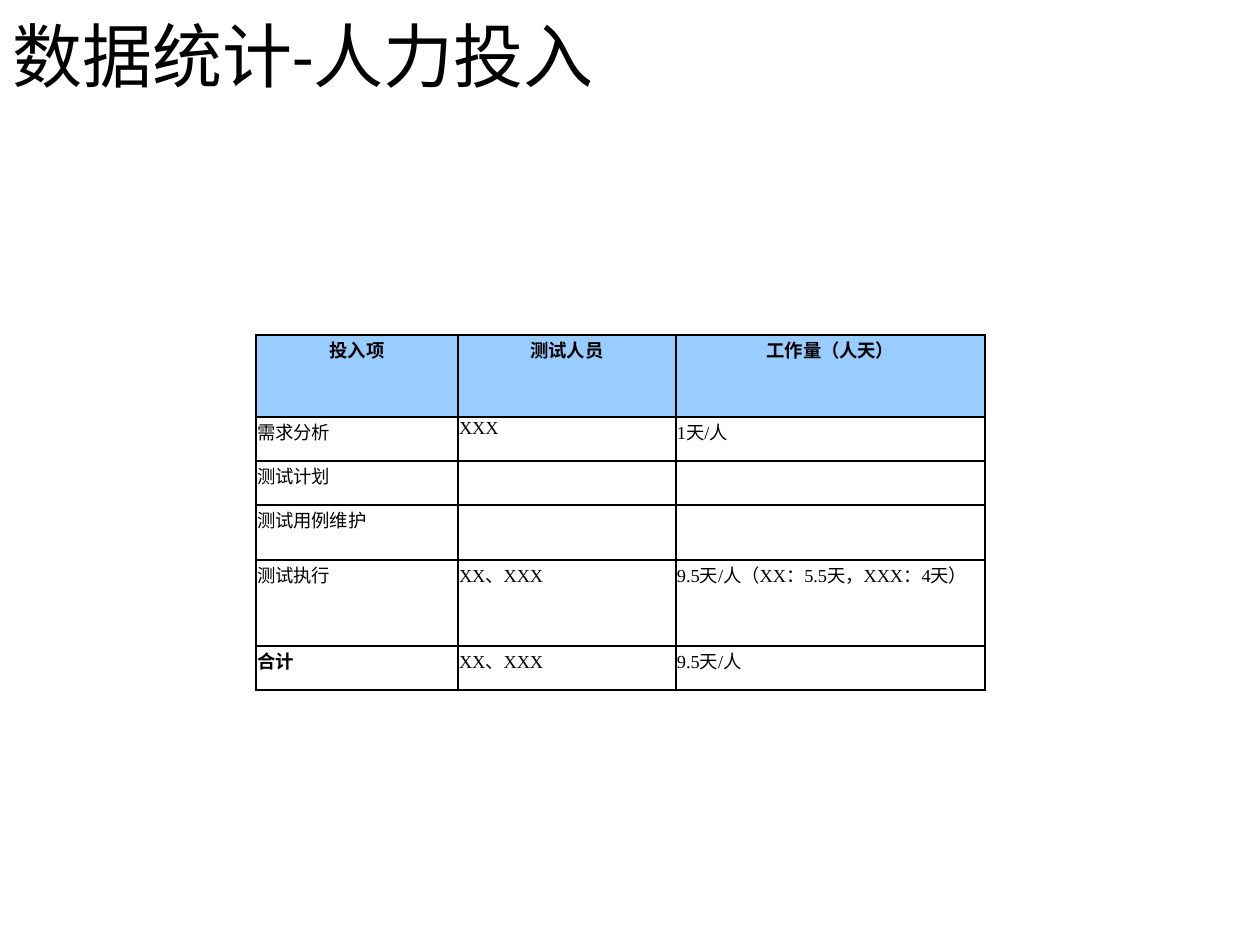
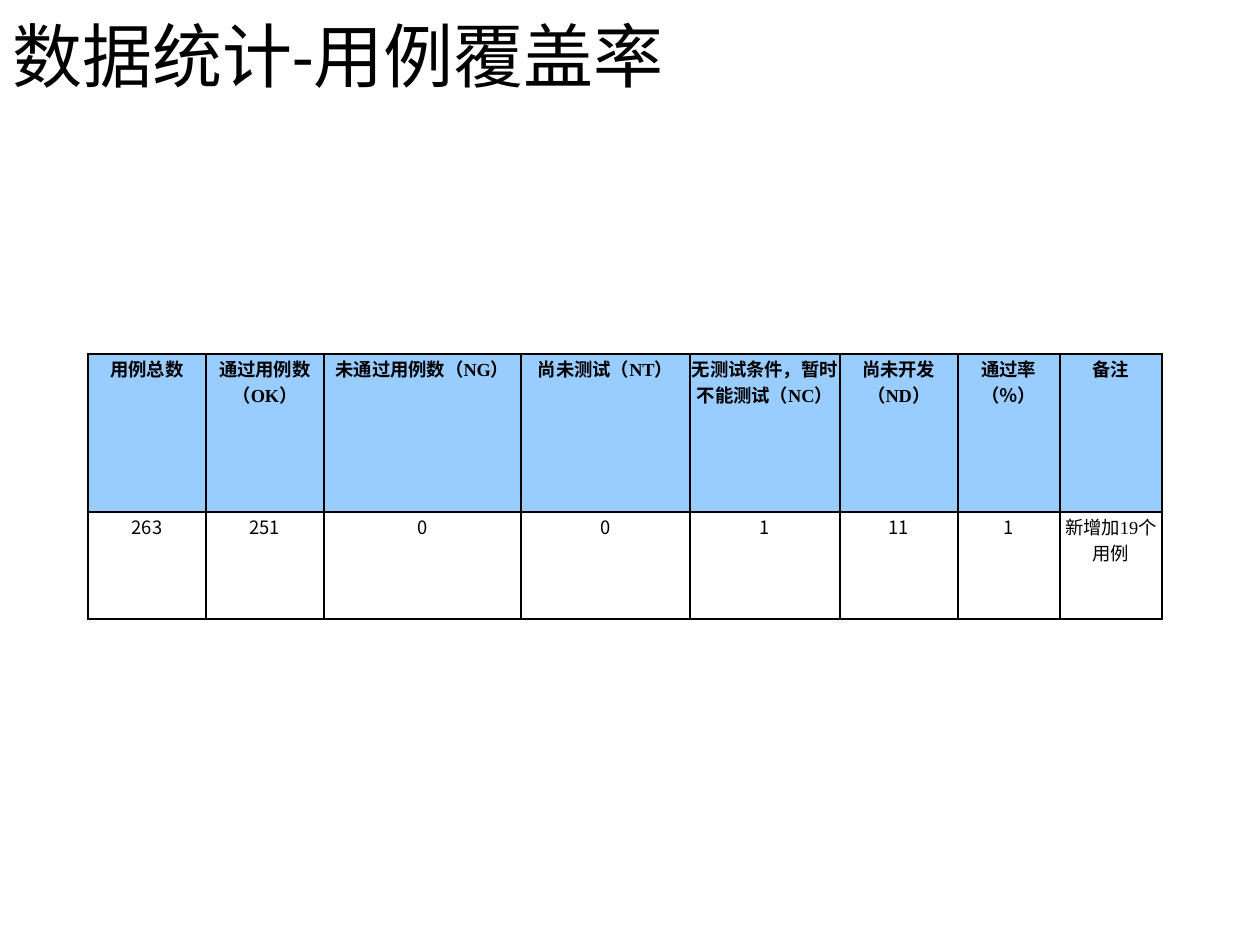
"""Build two test-report slides, each with a title and a statistics table."""
import itertools
from dataclasses import dataclass

import pptx
import pptx.dml.color
import pptx.enum.text
import pptx.oxml
import pptx.oxml.ns
import pptx.util

PX = pptx.util.Inches(1) / 126
ALIGN = pptx.enum.text.PP_ALIGN


@dataclass(frozen=True)
class Theme:
    """Colours, fonts and type sizes shared by the slides."""
    paper: str = "FFFFFF"
    ink: str = "000000"
    header: str = "99CCFF"
    title_font: str = "Calibri"
    latin_font: str = "Times New Roman"
    cjk_font: str = "Noto Sans CJK SC"
    title_size: float = 40
    table_size: float = 10.5
    border: float = 1


@dataclass(frozen=True)
class TableSlide:
    """A titled slide with one table, measured in pixels."""
    title: str
    left: int
    top: int
    cols: list[int]
    rows: list[int]
    cells: list[list[str]]
    body_align: ALIGN
    bold_cells: tuple[str, ...] = ()


THEME = Theme()


def px(n: float) -> int:
    """Turn pixels into EMU."""
    return round(n * PX)


def rgb(value: str) -> pptx.dml.color.RGBColor:
    """Read a hex colour."""
    return pptx.dml.color.RGBColor.from_string(value)


def add_run(p, text: str, font: str, size: float, bold: bool = False) -> None:
    """Append a run with its Latin and East Asian fonts."""
    r = p.add_run()
    r.text = text
    r.font.name = font
    r.font.size = pptx.util.Pt(size)
    r.font.bold = bold
    r.font.color.rgb = rgb(THEME.ink)
    ea = pptx.oxml.parse_xml(
        f'<a:ea {pptx.oxml.ns.nsdecls("a")} typeface="{THEME.cjk_font}"/>')
    r.font._element.find(pptx.oxml.ns.qn("a:latin")).addnext(ea)


def add_title(s, text: str) -> None:
    """Add the slide title."""
    sp = s.shapes.add_textbox(0, px(9), px(1134), px(91))
    tf = sp.text_frame
    tf.word_wrap = True
    tf.vertical_anchor = pptx.enum.text.MSO_ANCHOR.MIDDLE
    add_run(tf.paragraphs[0], text, THEME.title_font, THEME.title_size)


def set_borders(cell) -> None:
    """Draw a solid line on the four sides of a cell."""
    tcPr = cell._tc.get_or_add_tcPr()
    for i, side in enumerate(("lnL", "lnR", "lnT", "lnB")):
        tcPr.insert(i, pptx.oxml.parse_xml(
            f'<a:{side} {pptx.oxml.ns.nsdecls("a")} w="{pptx.util.Pt(THEME.border)}">'
            f'<a:solidFill><a:srgbClr val="{THEME.ink}"/></a:solidFill>'
            f'</a:{side}>'))


def fill_cell(cell, text: str, align: ALIGN, fill: str, bold: bool) -> None:
    """Write a cell, setting Latin words apart from Chinese ones and plain figures."""
    cell.margin_left = cell.margin_right = cell.margin_top = px(1)
    cell.margin_bottom = 0
    cell.fill.solid()
    cell.fill.fore_color.rgb = rgb(fill)
    set_borders(cell)
    p = cell.text_frame.paragraphs[0]
    p.alignment = align
    for is_latin, chars in itertools.groupby(text, str.isascii):
        latin = is_latin and not text.isdecimal()
        font = THEME.latin_font if latin else THEME.cjk_font
        add_run(p, "".join(chars), font, THEME.table_size, bold)


def add_table(s, spec: TableSlide) -> None:
    """Add the table with its header row."""
    tbl = s.shapes.add_table(
        len(spec.rows), len(spec.cols), px(spec.left), px(spec.top),
        px(sum(spec.cols)), px(sum(spec.rows))).table
    tbl.first_row = tbl.horz_banding = False
    for col, width in zip(tbl.columns, spec.cols):
        col.width = px(width)
    for i, (height, texts) in enumerate(zip(spec.rows, spec.cells)):
        tbl.rows[i].height = px(height)
        header = i == 0
        for j, text in enumerate(texts):
            fill_cell(tbl.cell(i, j), text,
                      ALIGN.CENTER if header else spec.body_align,
                      THEME.header if header else THEME.paper,
                      header or text in spec.bold_cells)


def add_slide(prs, spec: TableSlide) -> None:
    """Add one titled table slide."""
    s = prs.slides.add_slide(prs.slide_layouts[6])
    s.background.fill.solid()
    s.background.fill.fore_color.rgb = rgb(THEME.paper)
    add_title(s, spec.title)
    add_table(s, spec)


SLIDES = [
    TableSlide(
        "数据统计-人力投入", 256, 335, [202, 218, 309], [82, 44, 44, 55, 86, 44],
        [["投入项", "测试人员", "工作量（人天）"],
         ["需求分析", "XXX", "1天/人"],
         ["测试计划", "", ""],
         ["测试用例维护", "", ""],
         ["测试执行", "XX、XXX", "9.5天/人（XX：5.5天，XXX：4天）"],
         ["合计", "XX、XXX", "9.5天/人"]],
        ALIGN.JUSTIFY, ("合计",)),
    TableSlide(
        "数据统计-用例覆盖率", 88, 354,
        [118, 118, 197, 169, 150, 118, 102, 102], [158, 107],
        [["用例总数", "通过用例数（OK）", "未通过用例数（NG）", "尚未测试（NT）",
          "无测试条件，暂时不能测试（NC）", "尚未开发（ND）", "通过率（％）", "备注"],
         ["263", "251", "0", "0", "1", "11", "1", "新增加19个用例"]],
        ALIGN.CENTER),
]


def main() -> None:
    """Build and save the presentation."""
    prs = pptx.Presentation()
    prs.slide_width, prs.slide_height = px(1260), px(945)
    for spec in SLIDES:
        add_slide(prs, spec)
    prs.save("out.pptx")


main()
